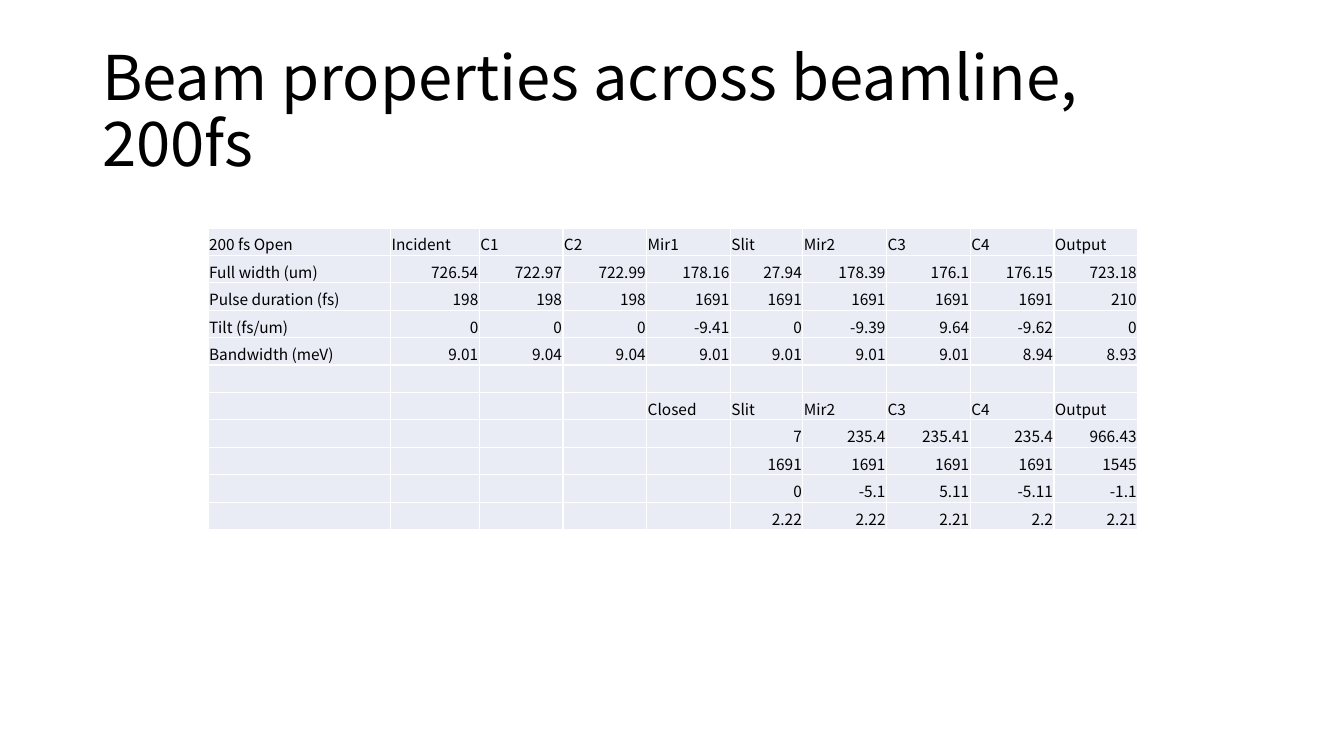
from dataclasses import dataclass

from lxml.etree import SubElement
from pptx import Presentation
from pptx.dml.color import RGBColor
from pptx.enum.text import MSO_VERTICAL_ANCHOR as Anchor, PP_PARAGRAPH_ALIGNMENT as Align
from pptx.oxml.ns import qn
from pptx.table import Table, _Cell as Cell
from pptx.text.text import TextFrame
from pptx.util import Pt

FONT = "Noto Sans CJK SC"
BLACK = RGBColor(0x00, 0x00, 0x00)
WHITE = RGBColor(0xFF, 0xFF, 0xFF)
CELL_FILL = RGBColor(0xE9, 0xEB, 0xF5)

COLUMN_WIDTHS = [130.4, 63.4, *[59.8] * 3, 51.8, *[59.8] * 4]
ROW_COUNT = 11
ROW_HEIGHT = 19.6
CELL_SIZE = 11
CELL_INSET = 0.72


@dataclass(frozen=True)
class Block:
    """Readings under one header row, with labels in the first column."""
    first_row: int
    first_column: int
    rows: list[list[str]]


BLOCKS = [
    Block(0, 0, [
        ["200 fs Open", "Incident", "C1", "C2", "Mir1", "Slit", "Mir2", "C3", "C4", "Output"],
        ["Full width (um)", "726.54", "722.97", "722.99", "178.16", "27.94", "178.39",
         "176.1", "176.15", "723.18"],
        ["Pulse duration (fs)", "198", "198", "198", "1691", "1691", "1691",
         "1691", "1691", "210"],
        ["Tilt (fs/um)", "0", "0", "0", "-9.41", "0", "-9.39", "9.64", "-9.62", "0"],
        ["Bandwidth (meV)", "9.01", "9.04", "9.04", "9.01", "9.01", "9.01",
         "9.01", "8.94", "8.93"],
    ]),
    Block(6, 4, [
        ["Closed", "Slit", "Mir2", "C3", "C4", "Output"],
        ["", "7", "235.4", "235.41", "235.4", "966.43"],
        ["", "1691", "1691", "1691", "1691", "1545"],
        ["", "0", "-5.1", "5.11", "-5.11", "-1.1"],
        ["", "2.22", "2.22", "2.21", "2.2", "2.21"],
    ]),
]


def write_text(frame: TextFrame, text: str, *, size: float,
               align: Align = Align.LEFT, line_spacing: float = 1.0) -> None:
    paragraph = frame.paragraphs[0]
    paragraph.alignment = align
    paragraph.line_spacing = line_spacing
    run = paragraph.add_run()
    run.text = text
    run.font.size = Pt(size)
    run.font.name = FONT
    run.font.color.rgb = BLACK


def style_cell(cell: Cell) -> None:
    cell.margin_left = cell.margin_right = cell.margin_top = Pt(CELL_INSET)
    cell.margin_bottom = Pt(0)
    cell.vertical_anchor = Anchor.BOTTOM
    # Borders come before the fill in the cell properties
    properties = cell._tc.get_or_add_tcPr()
    for side in ("lnL", "lnR", "lnT", "lnB"):
        line = SubElement(properties, qn(f"a:{side}"), w=str(Pt(1)))
        solid = SubElement(line, qn("a:solidFill"))
        SubElement(solid, qn("a:srgbClr"), val=str(WHITE))
    cell.fill.solid()
    cell.fill.fore_color.rgb = CELL_FILL


def keep_blank_cell_small(cell: Cell) -> None:
    paragraph = cell.text_frame.paragraphs[0]
    SubElement(paragraph._p, qn("a:endParaRPr"), sz=str(CELL_SIZE * 100))


def fill_block(table: Table, block: Block) -> None:
    for row, texts in enumerate(block.rows):
        for column, text in enumerate(texts):
            if text:
                cell = table.cell(block.first_row + row, block.first_column + column)
                is_label = row == 0 or column == 0
                write_text(cell.text_frame, text, size=CELL_SIZE,
                           align=Align.LEFT if is_label else Align.RIGHT)


def main() -> None:
    presentation = Presentation()
    presentation.slide_width, presentation.slide_height = Pt(960), Pt(540)
    slide = presentation.slides.add_slide(presentation.slide_layouts[6])

    # Title
    title = slide.shapes.add_textbox(Pt(66), Pt(28.75), Pt(828), Pt(104.4)).text_frame
    title.word_wrap = True
    title.vertical_anchor = Anchor.MIDDLE
    write_text(title, "Beam properties across beamline, 200fs", size=44, line_spacing=0.9)

    # Table of beam properties
    table = slide.shapes.add_table(
        ROW_COUNT, len(COLUMN_WIDTHS), Pt(148.6), Pt(162.8),
        Pt(sum(COLUMN_WIDTHS)), Pt(ROW_COUNT * ROW_HEIGHT)).table
    table.first_row = table.horz_banding = False
    for column, width in zip(table.columns, COLUMN_WIDTHS):
        column.width = Pt(width)
    for row in table.rows:
        row.height = Pt(ROW_HEIGHT)
    for cell in table.iter_cells():
        style_cell(cell)
    for block in BLOCKS:
        fill_block(table, block)
    for cell in table.iter_cells():
        if not cell.text:
            keep_blank_cell_small(cell)

    presentation.save("out.pptx")


if __name__ == "__main__":
    main()
